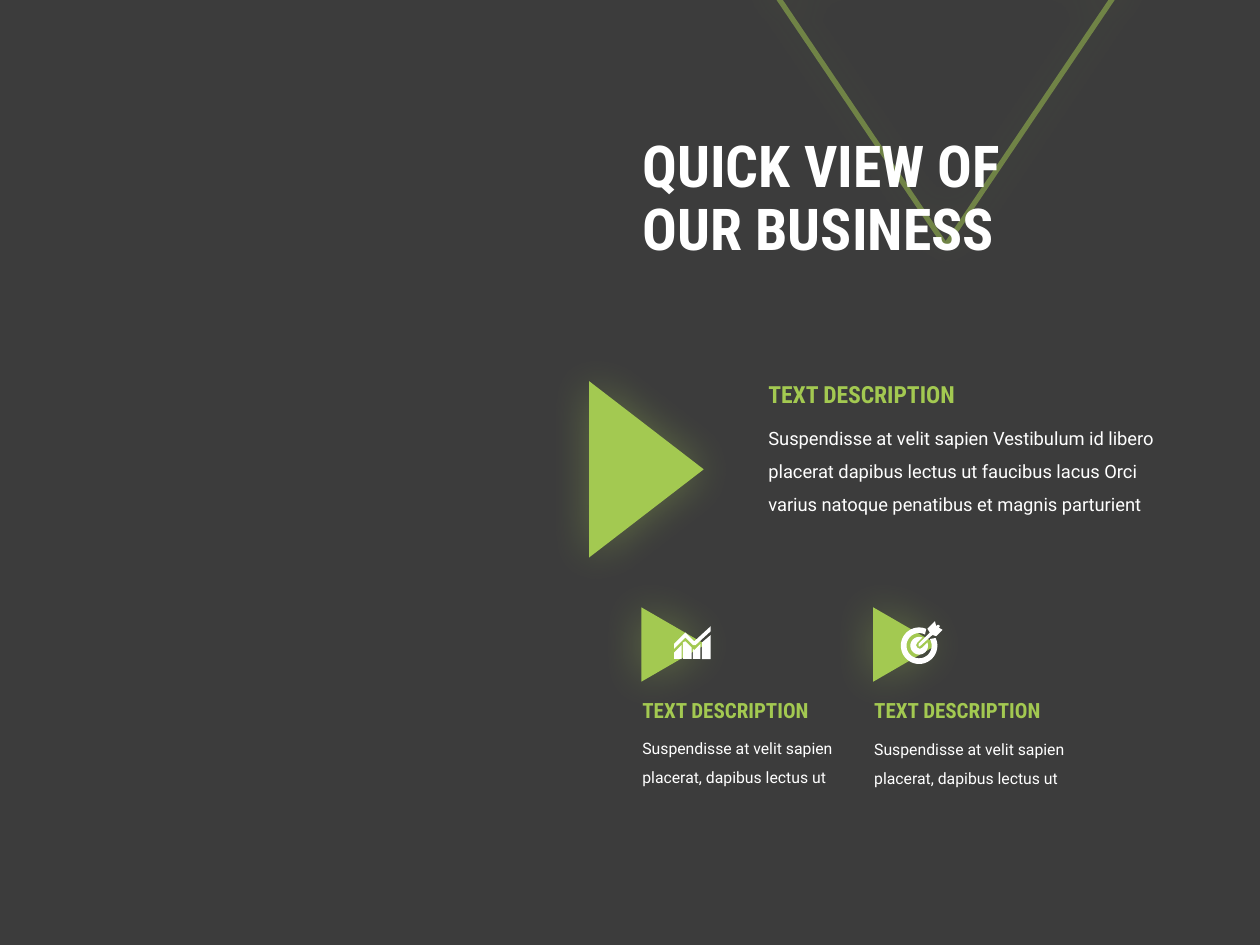
"""Build the business overview slide with green triangles and icons."""
from math import cos, radians, sin

from lxml import etree
from pptx import Presentation
from pptx.dml.color import RGBColor
from pptx.enum.shapes import MSO_SHAPE
from pptx.enum.text import MSO_ANCHOR, MSO_AUTO_SIZE, PP_ALIGN
from pptx.oxml.ns import qn
from pptx.util import Inches, Pt

TRIANGLE = MSO_SHAPE.ISOSCELES_TRIANGLE
LEFT = PP_ALIGN.LEFT
MIDDLE, TOP = MSO_ANCHOR.MIDDLE, MSO_ANCHOR.TOP
FIXED, GROW = MSO_AUTO_SIZE.NONE, MSO_AUTO_SIZE.SHAPE_TO_FIT_TEXT
COLORS = {"background": "3C3C3C", "accent": "A3C951", "text": "FFFFFF"}
HEADING_FONT, BODY_FONT = "Roboto Condensed", "Roboto"
TITLE_ONLY = 5
HEADING = "TEXT DESCRIPTION"
LONG_TEXT = (
    "Suspendisse at velit sapien Vestibulum id libero placerat dapibus lectus "
    "ut faucibus lacus Orci varius natoque penatibus et magnis parturient"
)
SHORT_TEXT = "Suspendisse at velit sapien placerat, dapibus lectus ut"
CHART_OUTLINES = [
    [(5.41, 5.23), (5.41, 5.12), (5.35, 5.18), (5.35, 5.23)],
    [(5.49, 5.23), (5.49, 5.14), (5.44, 5.09), (5.42, 5.1), (5.42, 5.23)],
    [(5.56, 5.23), (5.56, 5.11), (5.51, 5.16), (5.5, 5.15), (5.5, 5.23)],
    [(5.64, 5.23), (5.64, 5.04), (5.57, 5.1), (5.57, 5.23)],
    [(5.64, 4.97), (5.51, 5.09), (5.45, 5.03), (5.44, 5.02), (5.43, 5.03),
     (5.35, 5.11), (5.35, 5.15), (5.44, 5.06), (5.5, 5.12), (5.52, 5.12),
     (5.64, 5.01)],
]
DART = [
    (7.45, 4.96), (7.44, 4.96), (7.43, 4.97), (7.42, 4.93), (7.36, 4.99),
    (7.38, 5.02), (7.29, 5.11), (7.29, 5.13), (7.3, 5.13), (7.4, 5.04),
    (7.43, 5.05), (7.48, 5), (7.45, 4.98), (7.46, 4.97),
]
BULLSEYE_NOTCH = [
    (7.32, 5.06), (7.28, 5.1), (7.27, 5.12), (7.28, 5.14), (7.3, 5.15),
    (7.32, 5.14),
]


def color(name):
    """Return the named colour."""
    return RGBColor.from_string(COLORS[name])


def add_alpha(parent, percent):
    """Set the opacity of a colour element."""
    etree.SubElement(parent, qn("a:alpha")).set("val", str(percent * 1000))


def add_glow(shape):
    """Give a shape a soft green shadow around it."""
    shape.shadow.inherit = False
    effects = shape.element.spPr.find(qn("a:effectLst"))
    shadow = etree.SubElement(
        effects, qn("a:outerShdw"), blurRad=str(Pt(25)), dist="0", dir="0",
        algn="ctr", rotWithShape="0")
    tint = etree.SubElement(shadow, qn("a:srgbClr"), val=COLORS["accent"])
    add_alpha(tint, 35)


def add_triangle(page, left, top, width, height, rotation=90, outline=False):
    """Add a glowing triangle, either filled or in half-transparent outline."""
    shape = page.shapes.add_shape(
        TRIANGLE, Inches(left), Inches(top), Inches(width), Inches(height))
    shape.rotation = rotation
    if outline:
        shape.fill.background()
        shape.line.width = Pt(3)
        shape.line.color.rgb = color("accent")
        add_alpha(shape.line._ln.find(".//" + qn("a:srgbClr")), 50)
    else:
        shape.fill.solid()
        shape.fill.fore_color.rgb = color("accent")
        shape.line.fill.background()
    add_glow(shape)


def write_text(box, text, *, size, font, fill="text", bold=False, spacing=1.0,
               anchor=TOP, fit=GROW):
    """Write one formatted paragraph into a box."""
    frame = box.text_frame
    frame.word_wrap = True
    frame.auto_size = fit
    frame.vertical_anchor = anchor
    frame.text = text
    para = frame.paragraphs[0]
    para.alignment = LEFT
    para.line_spacing = spacing
    for span in para.runs:
        span.font.size = Pt(size)
        span.font.name = font
        span.font.bold = bold
        span.font.color.rgb = color(fill)


def add_text(page, text, left, top, width, height, **style):
    """Add a text box with one paragraph."""
    box = page.shapes.add_textbox(
        Inches(left), Inches(top), Inches(width), Inches(height))
    write_text(box, text, **style)


def add_heading(page, left, top, width, height, size):
    """Add a green heading."""
    add_text(page, HEADING, left, top, width, height, size=size,
             font=HEADING_FONT, fill="accent", bold=True)


def add_body(page, text, left, top, width, height, size):
    """Add a white body text with open lines."""
    add_text(page, text, left, top, width, height, size=size,
             font=BODY_FONT, spacing=1.5)


def add_title(page):
    """Place and format the slide title."""
    title = page.shapes.title
    title.left, title.top = Inches(5), Inches(0.8)
    title.width, title.height = Inches(4.22), Inches(1.58)
    write_text(title, "QUICK VIEW OF\vOUR BUSINESS", size=33,
               font=HEADING_FONT, bold=True, spacing=0.9, anchor=MIDDLE,
               fit=FIXED)


def arc(radius, start, end, steps=48):
    """Return points on a circle around the target's centre."""
    angles = [radians(start + (end - start) * step / steps)
              for step in range(steps + 1)]
    return [(7.295 + radius * cos(angle), 5.125 + radius * sin(angle))
            for angle in angles]


def target_outlines():
    """Return the outlines of the ring, the dart and the bullseye."""
    ring = arc(0.145, -25, 293) + arc(0.1, 298, -32)
    bullseye = arc(0.07, -22, 291) + BULLSEYE_NOTCH
    return [ring, DART, bullseye]


def add_icon(page, outlines):
    """Add a group of white outlines."""
    group = page.shapes.add_group_shape()
    for outline in outlines:
        points = [(Inches(x), Inches(y)) for x, y in outline]
        builder = group.shapes.build_freeform(*points[0])
        builder.add_line_segments(points[1:], close=True)
        shape = builder.convert_to_shape()
        shape.fill.solid()
        shape.fill.fore_color.rgb = color("text")
        shape.line.fill.background()
        shape.shadow.inherit = False


def main():
    """Build and save the slide."""
    deck = Presentation()
    deck.slide_width, deck.slide_height = Inches(10), Inches(7.5)
    page = deck.slides.add_slide(deck.slide_layouts[TITLE_ONLY])
    page.background.fill.solid()
    page.background.fill.fore_color.rgb = color("background")

    add_triangle(page, 6.06, -0.19, 2.89, 2.14, rotation=180, outline=True)
    title = page.shapes.title.element
    title.getparent().append(title)
    add_title(page)

    add_triangle(page, 4.43, 3.27, 1.4, 0.91)
    add_body(page, LONG_TEXT, 6, 3.25, 3.41, 0.87, 10.5)
    add_heading(page, 6, 2.97, 1.84, 0.33, 13.5)

    for left, body_top in ((5, 5.74), (6.84, 5.75)):
        add_triangle(page, left + 0.05, 4.86, 0.59, 0.51)
        add_body(page, SHORT_TEXT, left, body_top, 1.74, 0.53, 9)
        add_heading(page, left, 5.49, 1.66, 0.3, 12)

    for outlines in (CHART_OUTLINES, target_outlines()):
        add_icon(page, outlines)
    deck.save("out.pptx")


if __name__ == "__main__":
    main()
